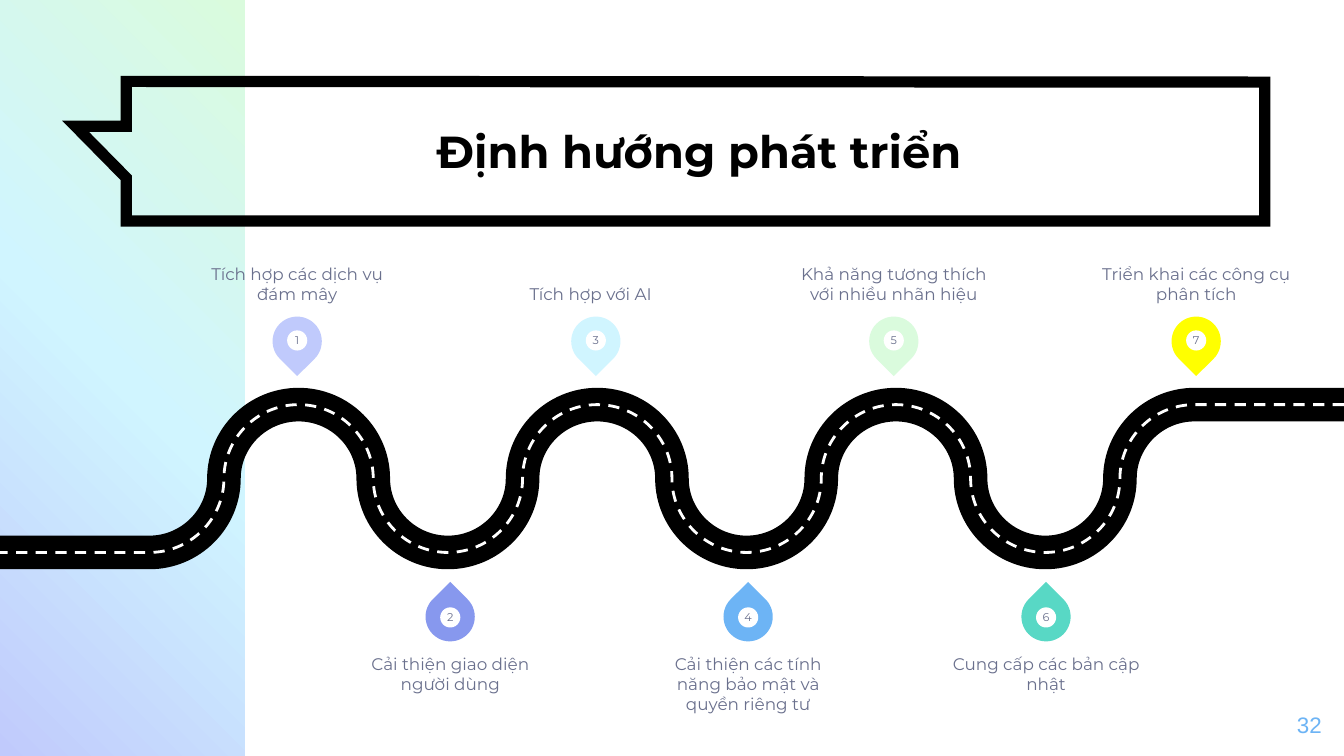
from copy import deepcopy

from lxml import etree
from pptx import Presentation
from pptx.dml.color import RGBColor
from pptx.enum.dml import MSO_LINE
from pptx.enum.shapes import MSO_SHAPE as SHAPE
from pptx.enum.text import MSO_ANCHOR as ANCHOR, MSO_AUTO_SIZE, PP_ALIGN as ALIGN
from pptx.oxml.ns import qn
from pptx.util import Emu, Inches, Pt

W = Inches(10)
H = W * 9 // 16
COLS = 18
rgb = RGBColor.from_string


def grid(*cells):
    return [Emu(round(n * W / COLS)) for n in cells]


def write(sp, text, size, color, anchor, inset=0, font="Montserrat", align=ALIGN.CENTER):
    tf = sp.text_frame
    tf.word_wrap = True
    tf.auto_size = MSO_AUTO_SIZE.NONE
    tf.vertical_anchor = anchor
    tf.margin_left = tf.margin_right = tf.margin_top = tf.margin_bottom = Inches(inset)
    tf.text = text
    p = tf.paragraphs[0]
    p.alignment = align
    f = p.runs[0].font
    f.size, f.name, f.color.rgb = Pt(size), font, rgb(color)
    return f


prs = Presentation()
prs.slide_width, prs.slide_height = W, H
s = prs.slides.add_slide(prs.slide_layouts[5])

panel = s.shapes.add_shape(SHAPE.RECTANGLE, 0, 0, grid(3.28)[0], H)
panel.shadow.inherit = False
panel.line.fill.background()
panel.fill.gradient()
panel.fill.gradient_angle = 45
gs_list = panel._element.find(".//" + qn("a:gsLst"))
gs_list.append(deepcopy(gs_list[-1]))
for stop, color, pos in zip(panel.fill.gradient_stops, ("C0CAFC", "D0F5FF", "DAFBDD"), (0, 0.5, 1)):
    stop.color.rgb = rgb(color)
    stop.position = pos

banner = [(1.69, 1.09), (16.94, 1.1), (16.94, 2.96), (1.69, 2.96),
          (1.69, 2.38), (1.01, 1.69), (1.69, 1.69)]

TOP, RISE, BEND = 5.42, 1.98, 0.55
heights = {0: TOP, 1: TOP + RISE / 2, 2: TOP + RISE, 3: TOP + RISE / 2}
bends = [(x, heights[x % 4]) for x in range(16, 1, -1)]
road = [(COLS, TOP), *bends, (0, TOP + RISE)]

for points, close, color, width, dash, join in (
    (banner, True, "000000", 6, None, "miter"),
    (road, False, "000000", 18, None, "round"),
    (road, False, "FFFFFF", 1.5, MSO_LINE.DASH, "round"),
):
    nodes = [grid(*pt) for pt in points]
    builder = s.shapes.build_freeform(*nodes[0])
    builder.add_line_segments(nodes[1:], close=close)
    sp = builder.convert_to_shape()
    sp.shadow.inherit = False
    sp.fill.background()
    sp.line.color.rgb = rgb(color)
    sp.line.width = Pt(width)
    if dash:
        sp.line.dash_style = dash
    etree.SubElement(sp.line._ln, qn("a:" + join))
    if points is road:
        segments = list(sp._element.iter(qn("a:lnTo")))[1:-1]
        for seg, (x0, y0), (x1, y1) in zip(segments, bends, bends[1:]):
            if x0 % 2 == 0:
                controls = (x0 - BEND, y0), (x1, y1 + BEND * (y0 - y1))
            else:
                controls = (x0, y0 + BEND * (y1 - y0)), (x1 + BEND, y1)
            seg.tag = qn("a:cubicBezTo")
            for i, (x, y) in enumerate(controls):
                px, py = grid(x, y - TOP)
                seg.insert(i, etree.Element(qn("a:pt"), x=str(int(px)), y=str(int(py))))

title = s.shapes.title
title.left, title.top, title.width, title.height = grid(1.78, 1.16, 15.16, 1.71)
write(title, "Định hướng phát triển", 24, "000000", ANCHOR.MIDDLE, 0.1).bold = True
s.shapes._spTree.append(title._element)

steps = [
    (3.98, 3.98, "C0CAFC", "Tích hợp các dịch vụ đám mây"),
    (6.03, 6.03, "8798EE", "Cải thiện giao diện người dùng"),
    (7.98, 7.91, "D0F5FF", "Tích hợp với AI"),
    (10.02, 10.02, "6DB4F5", "Cải thiện các tính năng bảo mật và quyền riêng tư"),
    (11.97, 11.97, "DAFBDD", "Khả năng tương thích với nhiều nhãn hiệu"),
    (14.01, 14.01, "58D8C5", "Cung cấp các bản cập nhật"),
    (16.02, 16.02, "FFFF00", "Triển khai các công cụ phân tích"),
]
PIN, DOT, LABEL = 0.66, 0.27, 2.54
for number, (pin_x, label_x, color, text) in enumerate(steps, 1):
    above = number % 2 == 1
    pin_y, dot_y, label_y = (4.57, 4.56, 3.03) if above else (8.26, 8.27, 8.75)
    marker = s.shapes.add_group_shape()
    pin, dot = [
        marker.shapes.add_shape(kind, *grid(pin_x - size / 2, y - size / 2, size, size))
        for kind, y, size in ((SHAPE.TEAR, pin_y, PIN), (SHAPE.OVAL, dot_y, DOT))
    ]
    pin.rotation = 135 if above else 315
    for sp, fill in ((pin, color), (dot, "FFFFFF")):
        sp.shadow.inherit = False
        sp.fill.solid()
        sp.fill.fore_color.rgb = rgb(fill)
        sp.line.fill.background()
    write(dot, str(number), 6, "6A708D", ANCHOR.MIDDLE)
    label = s.shapes.add_textbox(*grid(label_x - LABEL / 2, label_y, LABEL, 1.04))
    write(label, text, 9, "6A708D", ANCHOR.BOTTOM if above else ANCHOR.TOP)

page = s.shapes.add_textbox(*grid(16.8, 9.34, 1.08, 0.77))
write(page, "32", 12, "6DB4F5", ANCHOR.TOP, 0.1, "Arial", ALIGN.RIGHT)

prs.save("out.pptx")
